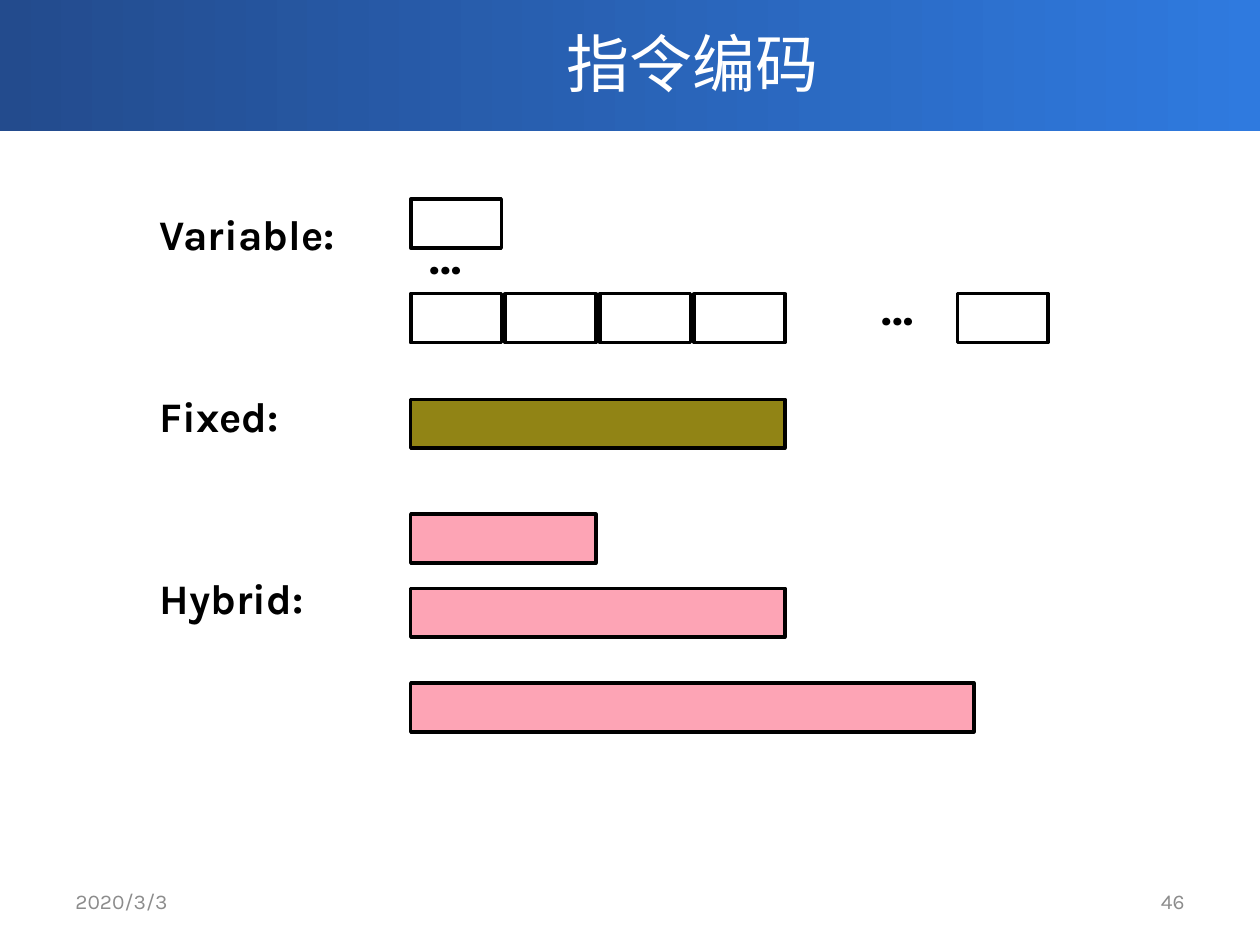
from pptx import Presentation
from pptx.dml.color import RGBColor
from pptx.enum.shapes import MSO_SHAPE
from pptx.enum.text import MSO_ANCHOR, PP_ALIGN
from pptx.oxml.ns import qn
from pptx.util import Pt
from lxml.etree import SubElement

BLACK = RGBColor(0x00, 0x00, 0x00)
WHITE = RGBColor(0xFF, 0xFF, 0xFF)
GRAY = RGBColor(0x8C, 0x8C, 0x8C)
NAVY = RGBColor(0x23, 0x4B, 0x8D)
BLUE = RGBColor(0x2F, 0x7A, 0xDF)
OLIVE = RGBColor(0x91, 0x84, 0x15)
PINK = RGBColor(0xFD, 0xA4, 0xB5)
LATIN, HAN = "Karla", "Noto Sans CJK SC"

# Content
TITLE = "指令编码"
LABELS = ["Variable:", "Fixed:", "Hybrid:"]
DOTS = [(496.8, 158.4), (238.3, 128.9)]  # left, top
# Bars: left, top, length in units, fill
LEFT, UNIT, GAP, HIGH = 234.7, 54, 2.2, 28
BARS = [(LEFT, 113.8, 1, None)]
BARS += [(LEFT + i * UNIT, 167.8, 1, None) for i in range(4)]
BARS += [
    (547.2, 167.8, 1, None),
    (LEFT, 228.2, 4, OLIVE),
    (LEFT, 293.8, 2, PINK),
    (LEFT, 336.2, 4, PINK),
    (LEFT, 390.2, 6, PINK),
]
# Footer: text, left, alignment
FOOTER = [("2020/3/3", 36, PP_ALIGN.LEFT), ("46", 516, PP_ALIGN.RIGHT)]

deck = Presentation()
deck.slide_width, deck.slide_height = Pt(720), Pt(540)
slide = deck.slides.add_slide(deck.slide_layouts[6])


def add_rect(*box):
    rect = slide.shapes.add_shape(MSO_SHAPE.RECTANGLE, *map(Pt, box))
    rect.shadow.inherit = False
    return rect


def add_text(lines, box, size, color, bold=False, face=LATIN,
             align=PP_ALIGN.LEFT, middle=False, wrap=False,
             pitch=1.0, gap=0):
    frame = slide.shapes.add_textbox(*map(Pt, box)).text_frame
    frame.word_wrap = wrap
    frame.vertical_anchor = MSO_ANCHOR.MIDDLE if middle else MSO_ANCHOR.TOP
    frame.text = "\n".join(lines)
    for i, para in enumerate(frame.paragraphs):
        para.alignment, para.line_spacing = align, pitch
        para.space_before = Pt(gap if i else 0)
        font = para.font
        font.name, font.size, font.bold = face, Pt(size), bold
        font.color.rgb = color
        if face == HAN:  # East Asian typeface
            for run in para.runs:
                props = run.font
                props.name = face
                SubElement(run._r.get_or_add_rPr(), qn("a:ea"), typeface=face)


# Title band
band = add_rect(0, -2.2, 720, 77)
band.line.fill.background()
band.fill.gradient()
band.fill.gradient_angle = 0
for stop, color in zip(band.fill.gradient_stops, (NAVY, BLUE)):
    stop.color.rgb = color
    stop.position = 0 if color == NAVY else 1
add_text([TITLE], (72, 0, 648, 71.3), 36, WHITE, face=HAN,
         align=PP_ALIGN.CENTER, middle=True, wrap=True)

# Row labels
add_text(LABELS, (84.2, 118.8, 116, 240.5), 24, BLACK, bold=True,
         pitch=0.9, gap=78)

# Instruction bars
for left, top, count, color in BARS:
    bar = add_rect(left, top, count * UNIT - GAP, HIGH)
    bar.line.color.rgb, bar.line.width = BLACK, Pt(2)
    if color is None:
        bar.fill.background()
    else:
        bar.fill.solid()
        bar.fill.fore_color.rgb = color

# Ellipses
for left, top in DOTS:
    add_text(["…"], (left, top, 42.5, 37.4), 28, BLACK, bold=True, pitch=0.9)

# Date and page number
for text, left, align in FOOTER:
    add_text([text], (left, 500.5, 168, 28.8), 12, GRAY, align=align,
             middle=True, wrap=True)

deck.save("out.pptx")
